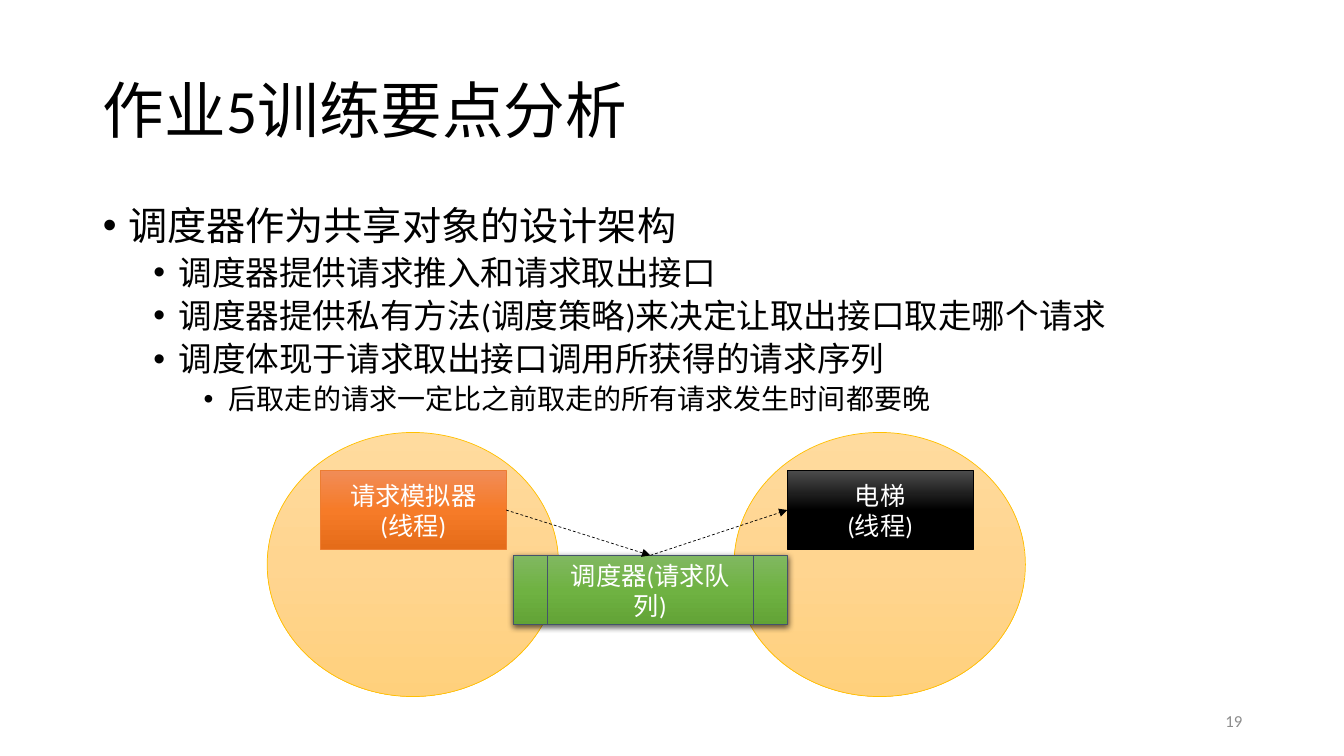
from dataclasses import dataclass

from lxml.etree import SubElement
from pptx import Presentation
from pptx.dml.color import RGBColor
from pptx.enum.dml import MSO_LINE
from pptx.enum.lang import MSO_LANGUAGE_ID
from pptx.enum.shapes import MSO_CONNECTOR, MSO_SHAPE
from pptx.enum.text import MSO_ANCHOR, MSO_AUTO_SIZE, PP_ALIGN
from pptx.oxml.ns import qn
from pptx.util import Inches, Pt

FONT = "Calibri"
BLACK, WHITE, GREY = "000000", "FFFFFF", "8C8C8C"
TITLE = "作业5训练要点分析"
BULLETS = [
    (0, "调度器作为共享对象的设计架构"),
    (1, "调度器提供请求推入和请求取出接口"),
    (1, "调度器提供私有方法(调度策略)来决定让取出接口取走哪个请求"),
    (1, "调度体现于请求取出接口调用所获得的请求序列"),
    (2, "后取走的请求一定比之前取走的所有请求发生时间都要晚"),
]
LEVEL_SIZES = [28, 24, 20]
LEVEL_SPACE = [10, 5, 5]


@dataclass
class Node:
    """One filled shape of the thread diagram."""
    kind: MSO_SHAPE
    at: tuple[float, float, float, float]
    gradient: tuple[str, str, str]
    line: str
    lines: tuple[str, ...] = ()
    line_width: float = 0.5
    raised: bool = False


def colour(value: str) -> RGBColor:
    """Turn a hex string into a colour."""
    return RGBColor.from_string(value)


def apply(target, **values) -> None:
    """Set each given attribute on the target."""
    for name, value in values.items():
        setattr(target, name, value)


def place(box, at) -> None:
    """Move and size a box, in inches."""
    apply(box, **dict(zip(("left", "top", "width", "height"), map(Inches, at))))


def write(para, text: str, size: float, ink: str, **layout) -> None:
    """Fill a paragraph with one formatted span."""
    apply(para, **layout)
    span = para.add_run()
    span.text = text
    apply(span.font, name=FONT, size=Pt(size),
          language_id=MSO_LANGUAGE_ID.SIMPLIFIED_CHINESE)
    span.font.color.rgb = colour(ink)


def add_bullet(para, level: int) -> None:
    """Give a paragraph a hanging round bullet."""
    properties = para._p.get_or_add_pPr()
    properties.set("marL", str(Inches(0.25 + 0.5 * level)))
    properties.set("indent", str(-Inches(0.25)))
    SubElement(properties, qn("a:buFont"), typeface="Arial")
    SubElement(properties, qn("a:buChar"), char="•")


def fill_gradient(shape, hues) -> None:
    """Fill a shape from top to bottom with evenly spaced stops."""
    shape.fill.gradient()
    shape.fill.gradient_angle = 270
    stops = shape._element.spPr.find(qn("a:gradFill")).find(qn("a:gsLst"))
    for stop in list(stops):
        stops.remove(stop)
    for index, hue in enumerate(hues):
        stop = SubElement(stops, qn("a:gs"), pos=str(index * 50000))
        SubElement(stop, qn("a:srgbClr"), val=hue)


def add_shadow(shape) -> None:
    """Add a soft shadow just below a shape."""
    effects = shape._element.spPr.find(qn("a:effectLst"))
    shadow = SubElement(effects, qn("a:outerShdw"), blurRad=str(Pt(4.5)),
                        dist=str(Pt(1.5)), dir="5400000", rotWithShape="0")
    ink = SubElement(shadow, qn("a:srgbClr"), val=BLACK)
    SubElement(ink, qn("a:alpha"), val="63000")


def draw_node(page, node: Node):
    """Draw one diagram shape with its label."""
    shape = page.shapes.add_shape(node.kind, *map(Inches, node.at))
    fill_gradient(shape, node.gradient)
    shape.line.color.rgb = colour(node.line)
    shape.line.width = Pt(node.line_width)
    shape.shadow.inherit = False
    if node.raised:
        add_shadow(shape)
    frame = shape.text_frame
    apply(frame, word_wrap=True, vertical_anchor=MSO_ANCHOR.MIDDLE)
    for index, text in enumerate(node.lines):
        para = frame.add_paragraph() if index else frame.paragraphs[0]
        write(para, text, 18, WHITE, alignment=PP_ALIGN.CENTER)
    return shape


def draw_arrow(page, source, source_site: int, target, target_site: int) -> None:
    """Join two shapes with a dashed arrow."""
    arrow = page.shapes.add_connector(MSO_CONNECTOR.STRAIGHT, 0, 0, 0, 0)
    arrow.begin_connect(source, source_site)
    arrow.end_connect(target, target_site)
    arrow.line.color.rgb = colour(BLACK)
    apply(arrow.line, width=Pt(0.5), dash_style=MSO_LINE.DASH)
    properties = arrow._element.spPr
    SubElement(properties.find(qn("a:ln")), qn("a:tailEnd"), type="triangle")
    SubElement(properties, qn("a:effectLst"))


deck = Presentation()
apply(deck, slide_width=Inches(13.33), slide_height=Inches(7.5))
page = deck.slides.add_slide(deck.slide_layouts[1])

title, body = page.placeholders
place(title, (0.92, 0.4, 11.5, 1.45))
apply(title.text_frame, vertical_anchor=MSO_ANCHOR.MIDDLE,
      auto_size=MSO_AUTO_SIZE.NONE)
write(title.text_frame.paragraphs[0], TITLE, 44, BLACK,
      alignment=PP_ALIGN.LEFT, line_spacing=0.9)

place(body, (0.92, 2, 11.5, 2.37))
body.text_frame.auto_size = MSO_AUTO_SIZE.NONE
for index, (level, text) in enumerate(BULLETS):
    para = body.text_frame.add_paragraph() if index else body.text_frame.paragraphs[0]
    write(para, text, LEVEL_SIZES[level], BLACK, level=level, line_spacing=0.9,
          space_before=Pt(LEVEL_SPACE[level]))
    add_bullet(para, level)

number = page.shapes.add_textbox(*map(Inches, (9.42, 6.95, 3, 0.4)))
apply(number.text_frame, word_wrap=True, vertical_anchor=MSO_ANCHOR.MIDDLE)
write(number.text_frame.paragraphs[0], "19", 12, GREY, alignment=PP_ALIGN.RIGHT)

AMBER = ("FFDB9E", "FFD590", "FFD07C")
for left in (7.28, 2.65):
    draw_node(page, Node(MSO_SHAPE.OVAL, (left, 4.29, 2.89, 2.62), AMBER, "FFC000"))

simulator = draw_node(page, Node(
    MSO_SHAPE.RECTANGLE, (3.18, 4.67, 1.84, 0.78),
    ("F18C57", "F67B28", "E56C19"), "ED7D31", ("请求模拟器", "(线程)")))
elevator = draw_node(page, Node(
    MSO_SHAPE.RECTANGLE, (7.81, 4.67, 1.84, 0.78),
    ("4B4B4B", BLACK, BLACK), BLACK, ("电梯", "(线程)")))
scheduler = draw_node(page, Node(
    MSO_SHAPE.FLOWCHART_PREDEFINED_PROCESS, (5.09, 5.51, 2.72, 0.69),
    ("81B861", "6FB242", "62A336"), "44546A", ("调度器(请求队列)",), 0.75, True))

TOP, LEFT, RIGHT = 0, 1, 3
draw_arrow(page, simulator, RIGHT, scheduler, TOP)
draw_arrow(page, scheduler, TOP, elevator, LEFT)

deck.save("out.pptx")
